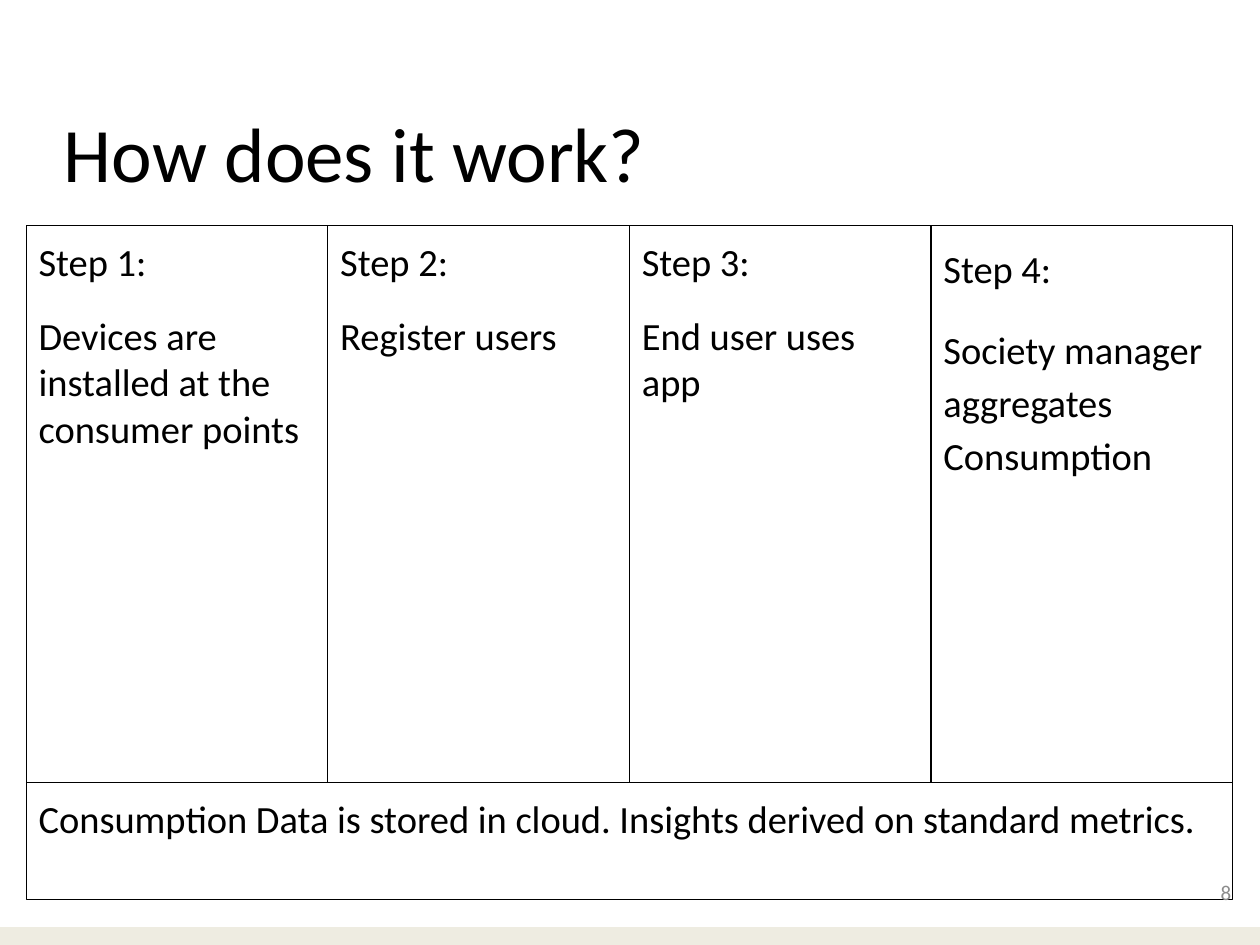
from pptx import Presentation
from pptx.dml.color import RGBColor
from pptx.enum.shapes import MSO_SHAPE
from pptx.enum.text import MSO_ANCHOR, MSO_AUTO_SIZE, PP_ALIGN
from pptx.util import Cm, Pt

# Content
TITLE = "How does it work?"
STEPS = [  # heading, description, line spacing
    ("Step 1:", "Devices are installed at the consumer points", 1.0),
    ("Step 2:", "Register users", 1.0),
    ("Step 3:", "End user uses app", 1.0),
    ("Step 4:", "Society manager aggregates Consumption", 1.15),
]
SUMMARY = "Consumption Data is stored in cloud. Insights derived on standard metrics."
PAGE_NUMBER = "8"

# Layout in centimetres
SLIDE_WIDTH, SLIDE_HEIGHT = 25.4, 19.05
BAND_HEIGHT = 0.36
GRID_LEFT, GRID_TOP = 0.53, 4.55
STEP_WIDTH, STEP_HEIGHT = 6.08, 11.23
SUMMARY_HEIGHT = 2.36
INSET = 0.25


def color(hex_value):
    return RGBColor.from_string(hex_value)


def write(shape, lines, size, hex_value="000000", anchor=MSO_ANCHOR.TOP,
          alignment=PP_ALIGN.LEFT, line_spacing=1.0):
    frame = shape.text_frame
    frame.word_wrap = True
    frame.auto_size = MSO_AUTO_SIZE.NONE
    frame.vertical_anchor = anchor
    frame.margin_left = frame.margin_right = Cm(INSET)
    frame.margin_top = frame.margin_bottom = Cm(INSET)
    frame.text = "\n".join(lines)
    for index, paragraph in enumerate(frame.paragraphs):
        paragraph.alignment = alignment
        paragraph.line_spacing = line_spacing
        paragraph.space_before = Pt(16 if index else 0)
        paragraph.font.name = "Calibri"
        paragraph.font.size = Pt(size)
        paragraph.font.color.rgb = color(hex_value)


def add_rectangle(slide, left, top, width, height, fill=None, line=None):
    shape = slide.shapes.add_shape(
        MSO_SHAPE.RECTANGLE, Cm(left), Cm(top), Cm(width), Cm(height))
    shape.shadow.inherit = False
    if fill:
        shape.fill.solid()
        shape.fill.fore_color.rgb = color(fill)
    else:
        shape.fill.background()
    if line:
        shape.line.color.rgb = color(line)
        shape.line.width = Pt(0.75)
    else:
        shape.line.fill.background()
    return shape


def main():
    presentation = Presentation()
    presentation.slide_width = Cm(SLIDE_WIDTH)
    presentation.slide_height = Cm(SLIDE_HEIGHT)
    slide = presentation.slides.add_slide(presentation.slide_layouts[5])

    # Bottom band
    add_rectangle(slide, 0, SLIDE_HEIGHT - BAND_HEIGHT, SLIDE_WIDTH, BAND_HEIGHT,
                  fill="EEECE1")

    # Title
    title = slide.shapes.title
    title.left, title.top = Cm(1.04), Cm(1.7)
    title.width, title.height = Cm(23.5), Cm(2.54)
    write(title, [TITLE], 44, anchor=MSO_ANCHOR.BOTTOM)

    # Step columns
    for index, (heading, description, line_spacing) in enumerate(STEPS):
        step = add_rectangle(slide, GRID_LEFT + index * STEP_WIDTH, GRID_TOP,
                             STEP_WIDTH, STEP_HEIGHT, line="000000")
        write(step, [heading, description], 22, line_spacing=line_spacing)

    # Summary row below the columns
    summary = add_rectangle(slide, GRID_LEFT, GRID_TOP + STEP_HEIGHT,
                            len(STEPS) * STEP_WIDTH, SUMMARY_HEIGHT, line="000000")
    write(summary, [SUMMARY], 22)

    # Page number
    number = slide.shapes.add_textbox(Cm(23.55), Cm(17.27), Cm(1.52), Cm(1.45))
    write(number, [PAGE_NUMBER], 12, "8C8C8C", MSO_ANCHOR.MIDDLE, PP_ALIGN.RIGHT)

    presentation.save("out.pptx")


if __name__ == "__main__":
    main()
